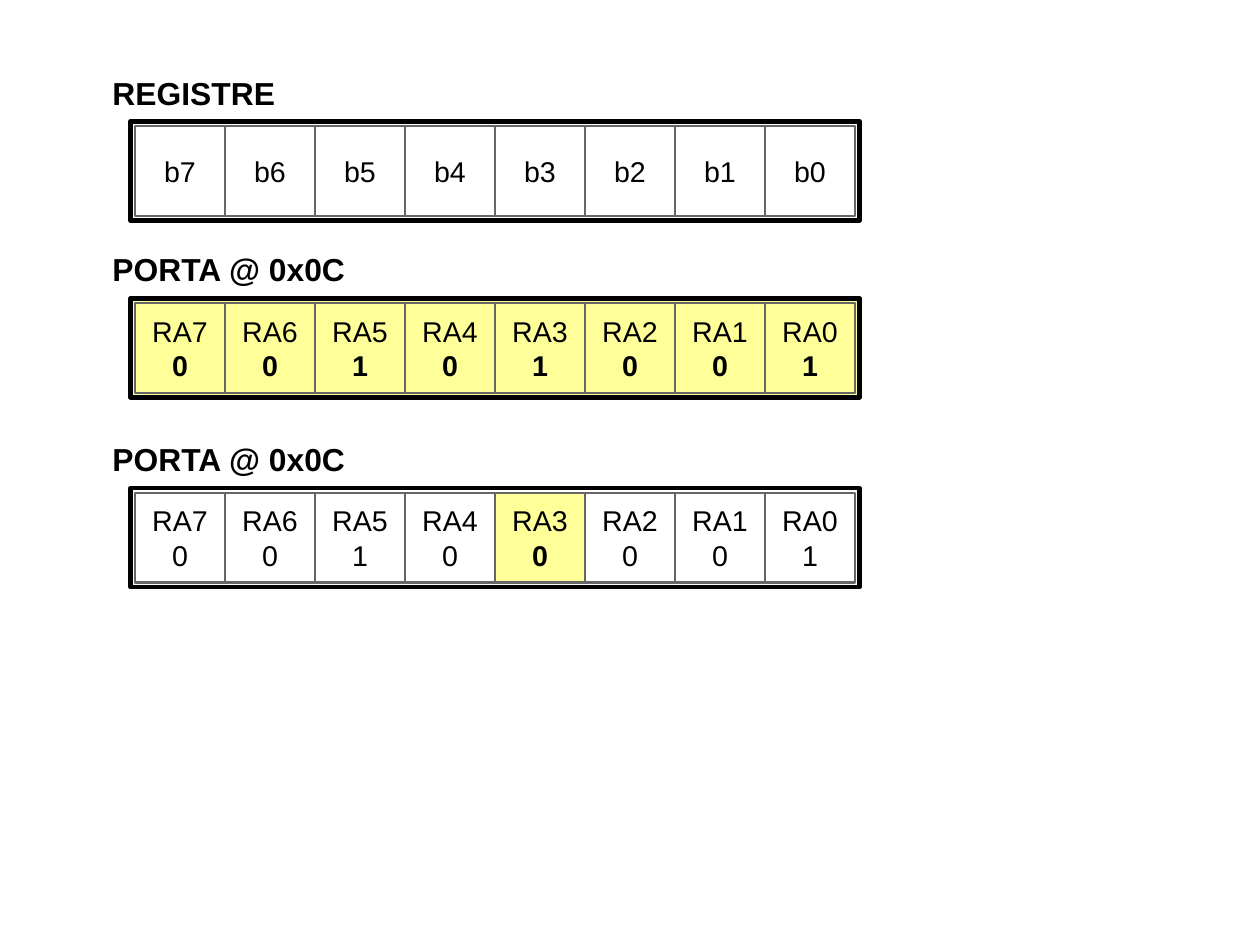
from pptx import Presentation
from pptx.dml.color import RGBColor
from pptx.enum.shapes import MSO_SHAPE
from pptx.enum.text import MSO_ANCHOR, MSO_AUTO_SIZE, PP_ALIGN
from pptx.util import Cm, Pt

RECTANGLE = MSO_SHAPE.RECTANGLE
TOP, MIDDLE = MSO_ANCHOR.TOP, MSO_ANCHOR.MIDDLE
LEFT, CENTER = PP_ALIGN.LEFT, PP_ALIGN.CENTER
NO_AUTOFIT = MSO_AUTO_SIZE.NONE

BLACK = RGBColor(0x00, 0x00, 0x00)
WHITE = RGBColor(0xFF, 0xFF, 0xFF)
GREY = RGBColor(0x66, 0x66, 0x66)
YELLOW = RGBColor(0xFF, 0xFF, 0x99)

TITLE_ONLY = 5
BITS = range(7, -1, -1)
CELL = 2.0
CELLS_LEFT = 3.0
FRAME_GAP = 0.1
HEADING_RISE = 1.3


class RegisterSlide:
    font = "Arial"
    heading_size = Pt(20)
    bit_size = Pt(18)

    def __init__(self, slide):
        self.slide = slide

    def format_paragraph(self, paragraph, size, bold, align):
        paragraph.alignment = align
        for run in paragraph.runs:
            run.font.name = self.font
            run.font.size = size
            run.font.bold = bold
            run.font.color.rgb = BLACK

    def box(self, left, top, width, height, fill, line, line_width):
        rect = self.slide.shapes.add_shape(
            RECTANGLE, Cm(left), Cm(top), Cm(width), Cm(height))
        rect.shadow.inherit = False
        if fill is None:
            rect.fill.background()
        else:
            rect.fill.solid()
            rect.fill.fore_color.rgb = fill
        rect.line.color.rgb = line
        rect.line.width = Pt(line_width)
        return rect

    def heading(self, text, top, width, is_title):
        shapes = self.slide.shapes
        label = shapes.title if is_title else shapes.add_textbox(0, 0, 0, 0)
        label.left, label.top = Cm(2.2), Cm(top)
        label.width, label.height = Cm(width), Cm(1.04)
        frame = label.text_frame
        frame.text = text
        frame.word_wrap = True
        frame.auto_size = NO_AUTOFIT
        frame.vertical_anchor = TOP
        frame.margin_left, frame.margin_right = Cm(0.3), Cm(0.25)
        frame.margin_top = frame.margin_bottom = Cm(0.13)
        self.format_paragraph(frame.paragraphs[0], self.heading_size, True, LEFT)

    def bit_cell(self, left, top, lines, fill, bold_value):
        """Draw one bit: its name and, when known, its value below."""
        cell = self.box(left, top, CELL, CELL, fill, GREY, 1.5)
        frame = cell.text_frame
        frame.text = "\n".join(lines)
        frame.word_wrap = False
        frame.vertical_anchor = MIDDLE
        frame.margin_left = frame.margin_right = Cm(0.28)
        frame.margin_top = frame.margin_bottom = Cm(0.15)
        for row, paragraph in enumerate(frame.paragraphs):
            self.format_paragraph(
                paragraph, self.bit_size, row == 1 and bold_value, CENTER)

    def register(self, name, top, prefix, values="", marked=(), frame_fill=None,
                 heading_width=6.07, is_title=False):
        """Draw a heading and a framed row of bits; marked bits are highlighted."""
        self.box(CELLS_LEFT - FRAME_GAP, top - FRAME_GAP,
                 len(BITS) * CELL + 2 * FRAME_GAP, CELL + 2 * FRAME_GAP,
                 frame_fill, BLACK, 2.83)
        for column, bit in enumerate(BITS):
            lines = [f"{prefix}{bit}", *values[column:column + 1]]
            is_marked = bit in marked
            self.bit_cell(CELLS_LEFT + column * CELL, top, lines,
                          YELLOW if is_marked else None, is_marked)
        self.heading(name, top - HEADING_RISE, heading_width, is_title)


def main():
    presentation = Presentation()
    presentation.slide_width, presentation.slide_height = Cm(28), Cm(21)
    layout = presentation.slide_layouts[TITLE_ONLY]
    page = RegisterSlide(presentation.slides.add_slide(layout))

    page.register("REGISTRE", 2.8, "b", frame_fill=WHITE,
                  heading_width=4.32, is_title=True)
    page.register("PORTA @ 0x0C", 6.73, "RA", "00101001",
                  marked=BITS, frame_fill=YELLOW)
    page.register("PORTA @ 0x0C", 10.95, "RA", "00100001", marked=(3,))

    presentation.save("out.pptx")


if __name__ == "__main__":
    main()
